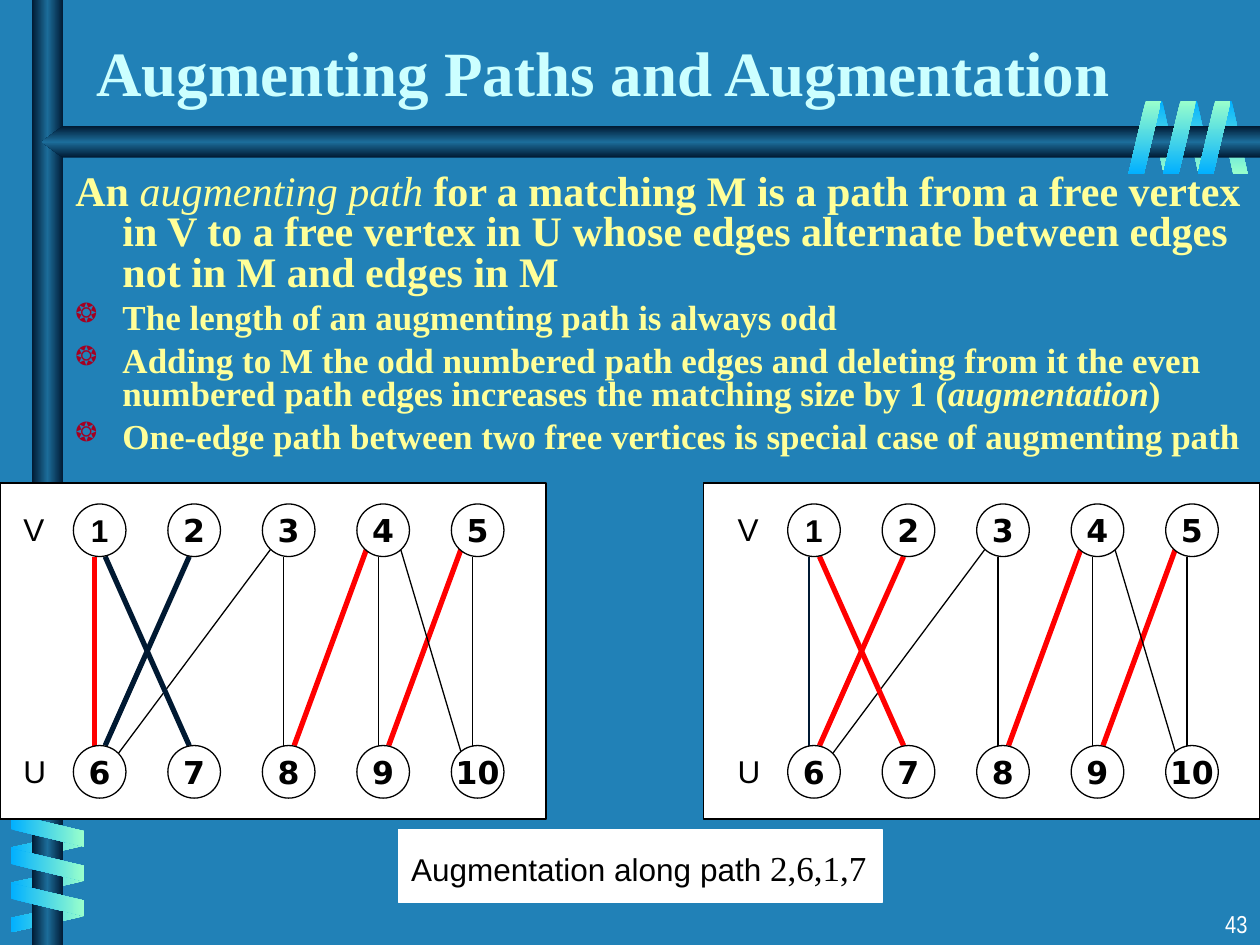
from lxml.etree import SubElement
from pptx import Presentation
from pptx.dml.color import RGBColor
from pptx.enum.shapes import MSO_CONNECTOR, MSO_SHAPE
from pptx.enum.text import MSO_ANCHOR, PP_ALIGN
from pptx.oxml.ns import qn
from pptx.util import Cm, Pt

COLORS = {
    "background": "2181B7", "white": "FFFFFF", "black": "000000",
    "title": "CCFFFF", "body": "FFFF99", "bullet": "A50021",
    "red": "FF0000", "navy": "001932", "steel": "1C6D9A",
    "mint": "99FFCC", "sky": "01B0FF",
}
SERIF, SANS, NODE_FONT = "Times New Roman", "Arial", "DejaVu Sans"
BAR = ("navy", "steel", "navy")

NODE_SIZE, NODE_PITCH = 1.06, 1.905
V_TOP, U_TOP = 10.16, 15.03
# Where an edge meets a node, from the node's left side; the outer ports sit further in.
PORTS = {"outer left": 0.22, "left": 0.43, "right": 0.64, "outer right": 0.86}
OUTER_INSET = 0.22
EDGES = [
    (3, "left", 8, "left"),
    (4, "left", 9, "left"),
    (5, "left", 10, "left"),
    (3, "outer left", 6, "outer right"),
    (4, "outer left", 8, "right"),
    (5, "outer left", 9, "right"),
    (4, "outer right", 10, "outer left"),
    (2, "left", 6, "right"),
    (1, "right", 7, "left"),
    (1, "left", 6, "left"),
]
MATCHED, CANDIDATE, RELEASED, FREE = ("red", 3), ("navy", 3), ("navy", 0.75), ("black", 0.75)
KEPT_MATCHES = {(4, 8): MATCHED, (5, 9): MATCHED}


def rgb(name):
    return RGBColor.from_string(COLORS[name])


def fill_gradient(shape, names, angle):
    """Spread the named colours evenly along a slide-fixed direction, clockwise from the x axis."""
    shape.fill.gradient()
    shape.fill.gradient_angle = -angle % 360
    gradient = shape._element.spPr.find(qn("a:gradFill"))
    gradient.set("rotWithShape", "0")
    stops = gradient.find(qn("a:gsLst"))
    for stop in list(stops):
        stops.remove(stop)
    for index, name in enumerate(names):
        stop = SubElement(stops, qn("a:gs"), pos=str(100000 * index // (len(names) - 1)))
        SubElement(stop, qn("a:srgbClr"), val=COLORS[name])


def add_box(page, kind, left, top, width, height, fill=None, line=None):
    box = page.shapes.add_shape(kind, Cm(left), Cm(top), Cm(width), Cm(height))
    box.shadow.inherit = False
    if fill:
        box.fill.solid()
        box.fill.fore_color.rgb = rgb(fill)
    if line:
        box.line.color.rgb = rgb(line)
        box.line.width = Pt(0.75)
    else:
        box.line.fill.background()
    return box


def add_span(para, text, *, size, font=SERIF, color="black", bold=False, italic=False):
    span = para.add_run()
    span.text = text
    span.font.size = Pt(size)
    span.font.name = font
    span.font.bold = bold
    span.font.italic = italic
    span.font.color.rgb = rgb(color)


def add_text_box(page, left, top, width, height, *, wrap=True, anchor=MSO_ANCHOR.TOP):
    box = page.shapes.add_textbox(Cm(left), Cm(top), Cm(width), Cm(height))
    box.text_frame.word_wrap = wrap
    box.text_frame.vertical_anchor = anchor
    return box.text_frame


def add_line(page, start, end, color, width):
    line = page.shapes.add_connector(MSO_CONNECTOR.STRAIGHT, *map(Cm, start + end))
    line.line.color.rgb = rgb(color)
    line.line.width = Pt(width)
    SubElement(line._element.spPr, qn("a:effectLst"))


def add_strips(page, left, top, step_x, step_y, width, *, colors, angle, rotation, flip=False):
    """Three slanted ribbons of one coil."""
    for index in range(3):
        strip = add_box(page, MSO_SHAPE.PARALLELOGRAM, left + index * step_x,
                        top + index * step_y, width, 1.47)
        strip.adjustments[0] = 0.53
        strip.rotation = rotation
        if flip:
            strip._element.spPr.find(qn("a:xfrm")).set("flipH", "1")
        fill_gradient(strip, colors, angle)


def add_background(page):
    page.background.fill.solid()
    page.background.fill.fore_color.rgb = rgb("background")
    add_strips(page, 23.14, 2.03, 0.7, 0, 0.61, colors=("sky", "mint"),
               angle=90, rotation=180, flip=True)
    add_strips(page, 0.66, 16.33, 0, 0.71, 0.61, colors=("mint", "sky"),
               angle=0, rotation=90, flip=True)

    fill_gradient(add_box(page, MSO_SHAPE.RECTANGLE, 0.64, 0, 0.64, 19.05), BAR, 0)
    outline = page.shapes.build_freeform(Cm(25.4), Cm(2.54))
    corners = [(1.27, 2.54), (0.84, 2.86), (1.27, 3.18), (25.4, 3.18)]
    outline.add_line_segments([(Cm(x), Cm(y)) for x, y in corners], close=True)
    beam = outline.convert_to_shape()
    beam.shadow.inherit = False
    beam.line.fill.background()
    fill_gradient(beam, BAR, 90)

    add_strips(page, 0.63, 16, 0, 0.7, 0.66, colors=("sky", "mint"), angle=0, rotation=270)
    add_strips(page, 22.75, 2.03, 0.7, 0, 0.66, colors=("mint", "sky"), angle=90, rotation=0)


def add_body_paragraph(frame, spans, *, size, bullet=False):
    """Add a hanging paragraph from (text, format) pairs."""
    first = not frame.paragraphs[0].runs
    para = frame.paragraphs[0] if first else frame.add_paragraph()
    para.line_spacing = 0.8
    para.space_before = Pt(0 if first else 5)
    properties = para._p.get_or_add_pPr()
    properties.set("marL", str(Cm(0.95)))
    properties.set("indent", str(-Cm(0.95)))
    if bullet:
        color = SubElement(properties, qn("a:buClr"))
        SubElement(color, qn("a:srgbClr"), val=COLORS["bullet"])
        SubElement(properties, qn("a:buSzPct"), val="75000")
        SubElement(properties, qn("a:buChar"), char="❂")
    for text, style in spans:
        add_span(para, text, size=size, color="body", **style)


def add_body(page):
    bold, italic = {"bold": True}, {"italic": True}
    frame = add_text_box(page, 1.27, 3.39, 24.13, 6.15)
    add_body_paragraph(frame, [
        ("An ", bold), ("augmenting path", italic),
        (" for a matching M is a path from a free vertex in V to a free vertex in U "
         "whose edges alternate between edges not in M and edges in M", bold)], size=24)
    for spans in (
        [("The length of an augmenting path is always odd", bold)],
        [("Adding to M the odd numbered path edges and deleting from it the even numbered "
          "path edges increases the matching size by 1 (", bold),
         ("augmentation", bold | italic), (")", bold)],
        [("One-edge path between two free vertices is special case of augmenting path", bold)],
    ):
        add_body_paragraph(frame, spans, size=20, bullet=True)


def add_graph(page, left, panel_left, panel_width, styles):
    """Draw a bipartite graph whose first column starts at left."""
    def node_left(vertex):
        return left + (vertex - 1) % 5 * NODE_PITCH

    def inset(port):
        return OUTER_INSET if port.startswith("outer") else 0

    add_box(page, MSO_SHAPE.RECTANGLE, panel_left, 9.74, panel_width, 6.77, "white", "black")
    for upper, upper_port, lower, lower_port in EDGES:
        start = (node_left(upper) + PORTS[upper_port], V_TOP + NODE_SIZE - inset(upper_port))
        end = (node_left(lower) + PORTS[lower_port], U_TOP + inset(lower_port))
        add_line(page, start, end, *styles.get((upper, lower), FREE))
    for vertex in range(1, 11):
        node = add_box(page, MSO_SHAPE.OVAL, node_left(vertex), V_TOP if vertex <= 5 else U_TOP,
                       NODE_SIZE, NODE_SIZE, "white", "black")
        node.text_frame.word_wrap = False
        node.text_frame.vertical_anchor = MSO_ANCHOR.MIDDLE
        para = node.text_frame.paragraphs[0]
        para.alignment = PP_ALIGN.CENTER
        add_span(para, str(vertex), size=18, font=SANS if vertex == 1 else NODE_FONT, bold=True)
    for label, top in (("V", V_TOP), ("U", U_TOP)):
        frame = add_text_box(page, left - 1.26, top, 0.94, 1.02, wrap=False)
        add_span(frame.paragraphs[0], label, size=18, font=SANS)


def main():
    deck = Presentation()
    deck.slide_width, deck.slide_height = Cm(25.4), Cm(19.05)
    page = deck.slides.add_slide(deck.slide_layouts[6])
    add_background(page)

    title = add_text_box(page, 1.69, 0.42, 21.08, 1.91, anchor=MSO_ANCHOR.BOTTOM)
    add_span(title.paragraphs[0], "Augmenting Paths and Augmentation",
             size=36, color="title", bold=True)
    add_body(page)

    add_graph(page, 1.48, 0, 11.01,
              KEPT_MATCHES | {(1, 6): MATCHED, (2, 6): CANDIDATE, (1, 7): CANDIDATE})
    add_graph(page, 15.88, 14.18, 11.22,
              KEPT_MATCHES | {(1, 6): RELEASED, (2, 6): MATCHED, (1, 7): MATCHED})

    add_box(page, MSO_SHAPE.RECTANGLE, 8.04, 16.72, 9.74, 1.48, "white", "white")
    caption = add_text_box(page, 8.04, 16.93, 9.74, 1.11).paragraphs[0]
    add_span(caption, "Augmentation along path ", size=18, font=SANS)
    add_span(caption, "2,6,1,7", size=20)

    number = add_text_box(page, 20.11, 18.2, 5.29, 0.85).paragraphs[0]
    number.alignment = PP_ALIGN.RIGHT
    add_span(number, "43", size=14, font="Arial Narrow", color="white")
    deck.save("out.pptx")


if __name__ == "__main__":
    main()
